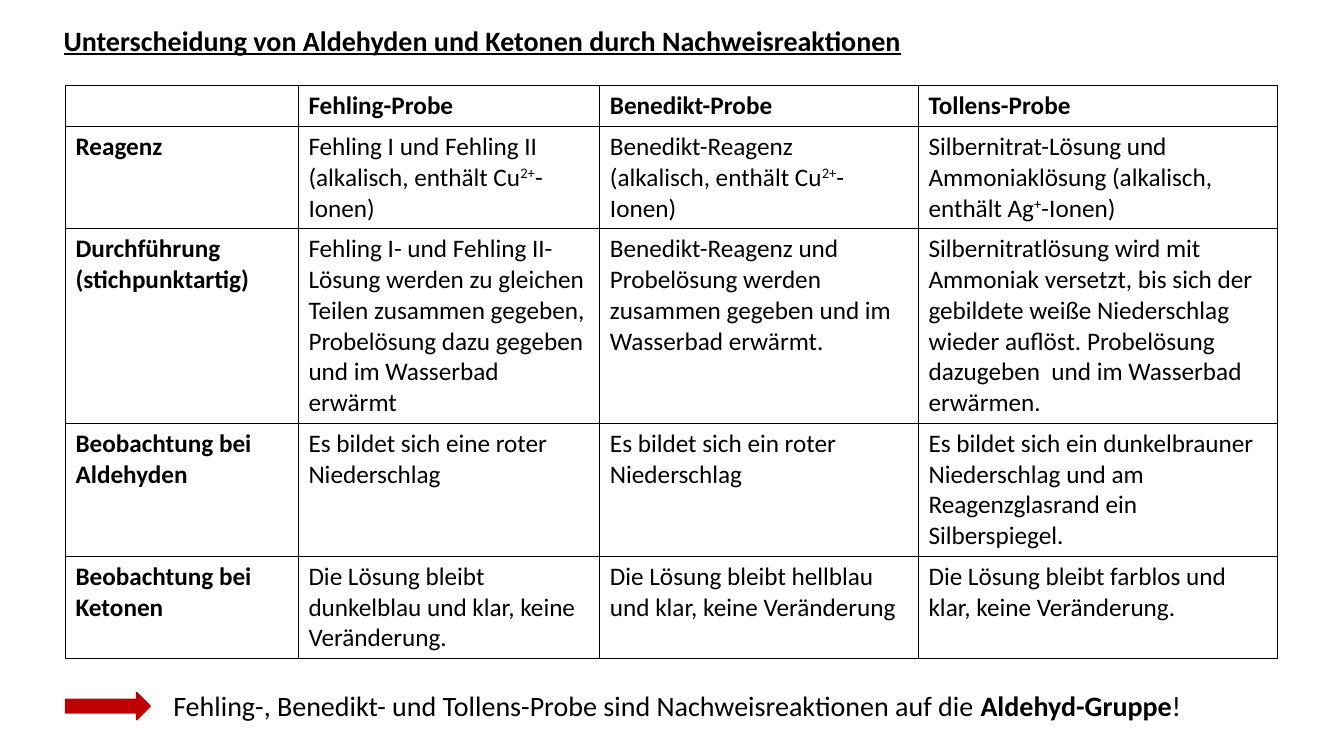
import pptx
import pptx.util
import pptx.dml.color
import pptx.enum.shapes
import pptx.enum.text
from lxml import etree
from dataclasses import dataclass

# Text between two ^ signs is raised, text between two * signs is bold.
TITLE = "Unterscheidung von Aldehyden und Ketonen durch Nachweisreaktionen"
RESULT = ("Fehling-, Benedikt- und Tollens-Probe sind Nachweisreaktionen "
          "auf die *Aldehyd-Gruppe*!")
TESTS = [
    ["", "Fehling-Probe", "Benedikt-Probe", "Tollens-Probe"],
    ["Reagenz",
     "Fehling I und Fehling II (alkalisch, enthält Cu^2+^-Ionen)",
     "Benedikt-Reagenz\n(alkalisch, enthält Cu^2+^-Ionen)",
     "Silbernitrat-Lösung und Ammoniaklösung (alkalisch, enthält Ag^+^-Ionen)"],
    ["Durchführung (stichpunktartig)",
     "Fehling I- und Fehling II-Lösung werden zu gleichen Teilen zusammen "
     "gegeben, Probelösung dazu gegeben und im Wasserbad erwärmt",
     "Benedikt-Reagenz und Probelösung werden zusammen gegeben und im "
     "Wasserbad erwärmt.",
     "Silbernitratlösung wird mit Ammoniak versetzt, bis sich der gebildete "
     "weiße Niederschlag wieder auflöst. Probelösung dazugeben  und im "
     "Wasserbad erwärmen."],
    ["Beobachtung bei Aldehyden",
     "Es bildet sich eine roter Niederschlag",
     "Es bildet sich ein roter Niederschlag",
     "Es bildet sich ein dunkelbrauner Niederschlag und am Reagenzglasrand "
     "ein Silberspiegel."],
    ["Beobachtung bei Ketonen",
     "Die Lösung bleibt dunkelblau und klar, keine Veränderung.",
     "Die Lösung bleibt hellblau und klar, keine Veränderung",
     "Die Lösung bleibt farblos und klar, keine Veränderung."],
]
COLS = [2.31, 2.99, 3.16, 3.56]
LINES = [1, 3, 6, 4, 3]   # text lines in each table row
LINE, PAD = 0.305, 0.1    # height of a text line, cell margins
LEFT, TOP = 0.65, 0.85    # table corner; the arrow shares the left edge


@dataclass
class Theme:
    font: str = "Calibri"
    ink: str = "000000"
    accent: str = "C00000"
    body: int = 18
    lead: int = 20


theme = Theme()
inch = pptx.util.Inches


def color(code):
    return pptx.dml.color.RGBColor.from_string(code)


def write(frame, text, size, bold=False):
    """Fill a text frame, one paragraph per line, with the ^ and * marks."""
    frame.word_wrap = True
    for i, line in enumerate(text.split("\n")):
        para = frame.add_paragraph() if i else frame.paragraphs[0]
        para.alignment = pptx.enum.text.PP_ALIGN.LEFT
        font = para.font
        font.name, font.size, font.bold = theme.font, pptx.util.Pt(size), bold
        font.color.rgb = color(theme.ink)
        for j, part in enumerate(line.split("*")):
            for k, bit in enumerate(part.split("^")):
                if not bit:
                    continue
                run = para.add_run()
                run.text = bit
                if j % 2:
                    run.font.bold = True
                if k % 2:
                    run._r.get_or_add_rPr().set("baseline", "30000")


def place(shape, left, top, width, height):
    shape.left, shape.top = inch(left), inch(top)
    shape.width, shape.height = inch(width), inch(height)


def fit(frame):
    frame.auto_size = pptx.enum.text.MSO_AUTO_SIZE.SHAPE_TO_FIT_TEXT
    frame.vertical_anchor = pptx.enum.text.MSO_ANCHOR.TOP


def border(cell):
    props = cell._tc.get_or_add_tcPr()
    uri = "http://schemas.openxmlformats.org/drawingml/2006/main"
    for i, side in enumerate(("lnL", "lnR", "lnT", "lnB")):
        props.insert(i, etree.fromstring(
            f'<a:{side} xmlns:a="{uri}" w="12700"><a:solidFill>'
            f'<a:srgbClr val="{theme.ink}"/></a:solidFill></a:{side}>'))


def grid(slide):
    rows = [PAD + LINE * n for n in LINES]
    table = slide.shapes.add_table(
        len(rows), len(COLS), inch(LEFT), inch(TOP),
        inch(sum(COLS)), inch(sum(rows))).table
    table.horz_banding = False
    for col, width in zip(table.columns, COLS):
        col.width = inch(width)
    for r, height in enumerate(rows):
        table.rows[r].height = inch(height)
        for c, text in enumerate(TESTS[r]):
            cell = table.cell(r, c)
            write(cell.text_frame, text, theme.body, r == 0 or c == 0)
            cell.fill.background()
            border(cell)


def main():
    deck = pptx.Presentation()
    deck.slide_width, deck.slide_height = inch(13.33), inch(7.5)
    slide = deck.slides.add_slide(deck.slide_layouts[5])

    title = slide.shapes.title
    place(title, 0.53, 0.18, 9.87, 0.44)
    write(title.text_frame, TITLE, theme.lead, True)
    title.text_frame.paragraphs[0].font.underline = True
    fit(title.text_frame)

    grid(slide)

    note = slide.shapes.add_textbox(
        inch(1.62), inch(6.78), inch(11.19), inch(0.44))
    write(note.text_frame, RESULT, theme.lead)
    fit(note.text_frame)

    arrow = slide.shapes.add_shape(
        pptx.enum.shapes.MSO_SHAPE.RIGHT_ARROW,
        inch(LEFT), inch(6.87), inch(0.84), inch(0.27))
    arrow.shadow.inherit = False
    arrow.fill.solid()
    arrow.fill.fore_color.rgb = color(theme.accent)
    arrow.line.color.rgb = color(theme.accent)
    arrow.line.width = pptx.util.Pt(1)

    deck.save("out.pptx")


if __name__ == "__main__":
    main()
